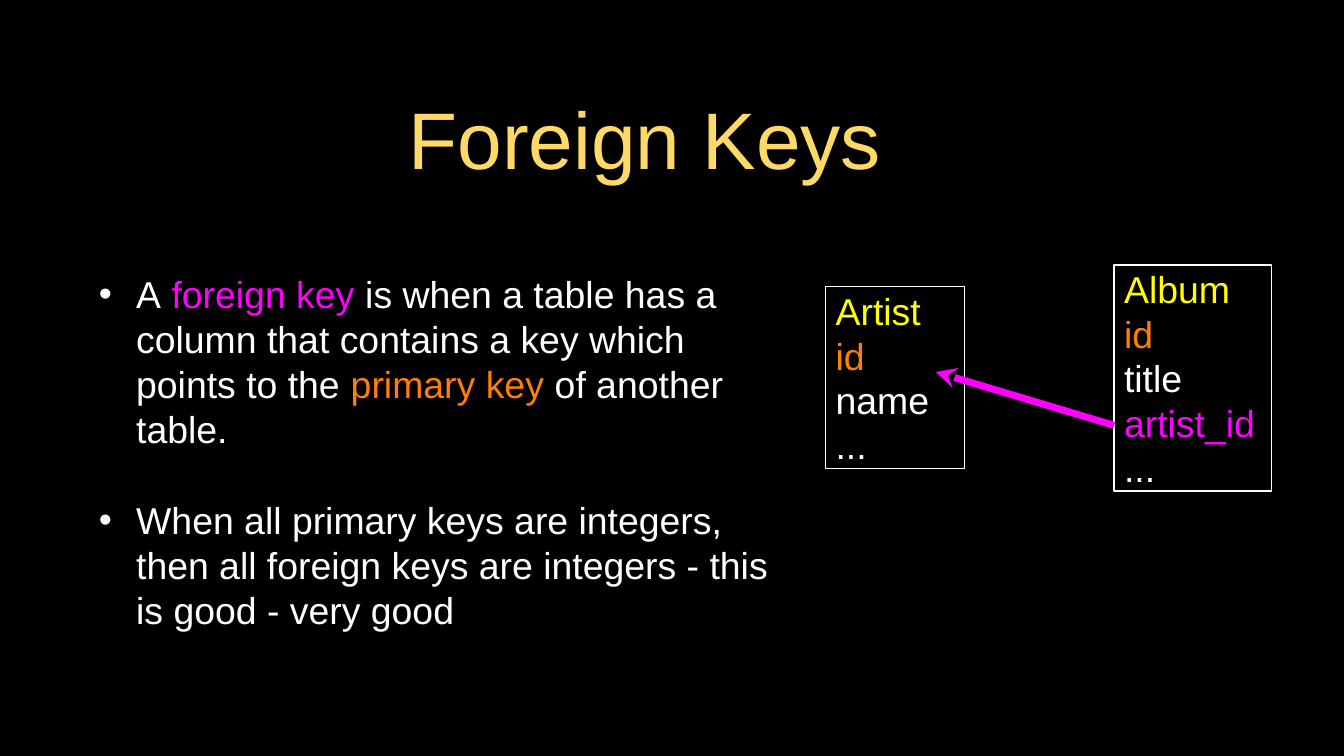
from lxml import etree
from pptx import Presentation
from pptx.dml.color import RGBColor
from pptx.enum.shapes import MSO_CONNECTOR, MSO_SHAPE
from pptx.enum.text import MSO_ANCHOR, PP_ALIGN
from pptx.oxml.ns import qn
from pptx.util import Inches, Pt

BLACK = RGBColor(0x00, 0x00, 0x00)
WHITE = RGBColor(0xFF, 0xFF, 0xFF)
GOLD = RGBColor(0xFF, 0xD9, 0x66)
YELLOW = RGBColor(0xFF, 0xFF, 0x00)
ORANGE = RGBColor(0xFF, 0x7F, 0x00)
MAGENTA = RGBColor(0xFF, 0x00, 0xFF)

RECTANGLE = MSO_SHAPE.RECTANGLE
STRAIGHT = MSO_CONNECTOR.STRAIGHT
MIDDLE = MSO_ANCHOR.MIDDLE
LEFT = PP_ALIGN.LEFT
CENTER = PP_ALIGN.CENTER


class KeySlide:
    font = "Arial"
    title_size = Pt(57.3)
    text_size = Pt(26.7)
    inset = Inches(0.03)
    indent = Inches(0.37)
    columns = rows = 100

    def __init__(self, deck):
        self.column = deck.slide_width / self.columns
        self.row = deck.slide_height / self.rows
        self.slide = deck.slides.add_slide(deck.slide_layouts[6])
        self.slide.background.fill.solid()
        self.slide.background.fill.fore_color.rgb = BLACK

    def place(self, *lengths):
        units = (self.column, self.row) * 2
        return [round(length * unit) for length, unit in zip(lengths, units)]

    def set_frame(self, frame, left, other):
        frame.word_wrap = True
        frame.vertical_anchor = MIDDLE
        frame.margin_left = left
        frame.margin_top = frame.margin_right = frame.margin_bottom = other

    def fill_text(self, frame, paragraphs, size, align=LEFT):
        frame.text = "\n".join("" for _ in paragraphs)
        for paragraph, pieces in zip(frame.paragraphs, paragraphs):
            paragraph.alignment = align
            for words, color in pieces:
                run = paragraph.add_run()
                run.text = words
                run.font.name = self.font
                run.font.size = size
                run.font.color.rgb = color

    def text_area(self, area):
        frame = self.slide.shapes.add_textbox(*self.place(*area)).text_frame
        self.set_frame(frame, self.inset, self.inset)
        return frame

    def title(self, area, words):
        frame = self.text_area(area)
        self.fill_text(frame, [[(words, GOLD)]], self.title_size, CENTER)

    def bullets(self, area, points):
        frame = self.text_area(area)
        self.fill_text(frame, points, self.text_size)
        for number, paragraph in enumerate(frame.paragraphs):
            properties = paragraph._p.get_or_add_pPr()
            properties.set("marL", str(self.indent))
            properties.set("indent", str(-self.indent))
            bullet_color = etree.SubElement(properties, qn("a:buClr"))
            etree.SubElement(bullet_color, qn("a:srgbClr"), val=str(WHITE))
            etree.SubElement(properties, qn("a:buFont"), typeface=self.font)
            etree.SubElement(properties, qn("a:buChar"), char="•")
            if number:
                paragraph.space_before = Pt(33.3)
                paragraph.space_after = Pt(8)

    def entity(self, area, fields):
        box = self.slide.shapes.add_shape(RECTANGLE, *self.place(*area))
        box.shadow.inherit = False
        box.fill.background()
        box.line.color.rgb = WHITE
        box.line.width = Pt(1)
        self.set_frame(box.text_frame, Inches(0.1), 0)
        self.fill_text(box.text_frame, [[field] for field in fields], self.text_size)

    def reference(self, target, source):
        arrow = self.slide.shapes.add_connector(
            STRAIGHT, *self.place(*target, *source))
        arrow.line.color.rgb = MAGENTA
        arrow.line.width = Pt(5)
        outline = arrow._element.spPr.find(qn("a:ln"))
        etree.SubElement(outline, qn("a:headEnd"), type="stealth")
        etree.SubElement(arrow._element.spPr, qn("a:effectLst"))


def main():
    deck = Presentation()
    deck.slide_width, deck.slide_height = Inches(13.33), Inches(7.5)
    page = KeySlide(deck)
    page.title((7.13, 8.53, 81.7, 19.2), "Foreign Keys")
    page.bullets((7.13, 28.53, 51.76, 62.4), [
        [("A", WHITE), (" foreign key", MAGENTA),
         (" is when a table has a column that contains a key which points to the ", WHITE),
         ("primary key", ORANGE), (" of another table.", WHITE)],
        [("When all primary keys are integers, then all foreign keys "
          "are integers - this is good - very good", WHITE)],
    ])
    page.entity((61.44, 37.87, 10.35, 24.13), [
        ("Artist", YELLOW), ("id", ORANGE), ("name", WHITE), ("...", WHITE)])
    page.entity((82.9, 35.07, 11.7, 29.87), [
        ("Album", YELLOW), ("id", ORANGE), ("title", WHITE),
        ("artist_id", MAGENTA), ("...", WHITE)])
    page.reference((69.62, 49.2), (82.9, 56.27))
    deck.save("out.pptx")


if __name__ == "__main__":
    main()
